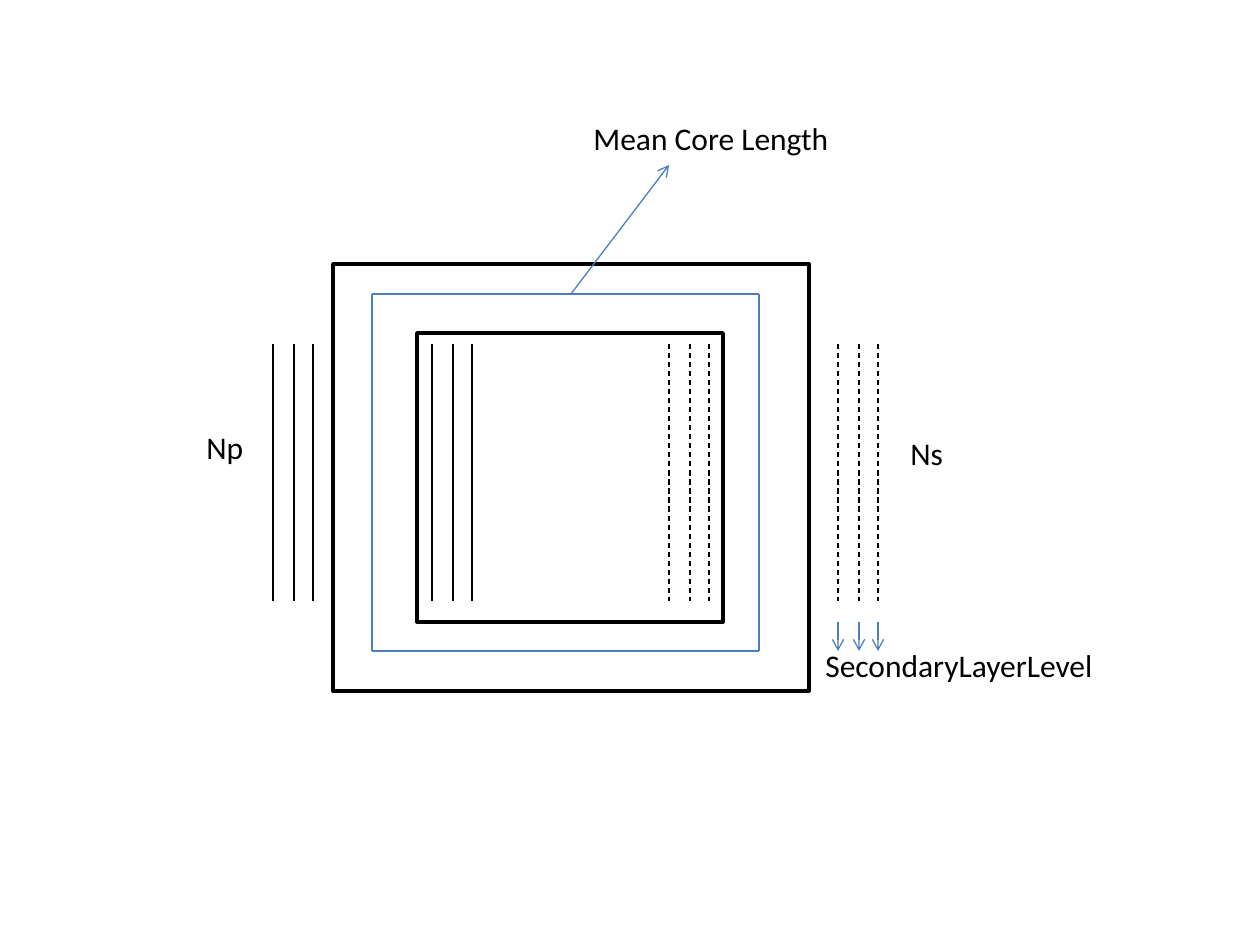
from itertools import pairwise

from lxml.etree import SubElement
from pptx import Presentation
from pptx.dml.color import RGBColor
from pptx.enum.dml import MSO_LINE
from pptx.enum.shapes import MSO_CONNECTOR, MSO_SHAPE
from pptx.enum.text import MSO_AUTO_SIZE
from pptx.oxml.ns import qn
from pptx.util import Emu, Pt

BLACK = RGBColor(0x00, 0x00, 0x00)
BLUE = RGBColor(0x4B, 0x7E, 0xBC)
EMU_PER_PX = 914400 / 126
TURN_OFFSETS = (0, 21, 40)


def px(length):
    """Turn pixels into EMU."""
    return Emu(round(length * EMU_PER_PX))


def add_text(page, text, box, size=18, color=BLACK, font="Calibri"):
    """Write one label in a box."""
    frame = page.shapes.add_textbox(*map(px, box)).text_frame
    frame.word_wrap = True
    frame.auto_size = MSO_AUTO_SIZE.SHAPE_TO_FIT_TEXT
    span = frame.paragraphs[0].add_run()
    span.text = text
    span.font.size = Pt(size)
    span.font.name = font
    span.font.color.rgb = color


def add_line(page, start, end, color=BLACK, dashed=False, arrow=False):
    """Draw a thin straight line, dashed or with an arrowhead if asked."""
    connector = page.shapes.add_connector(
        MSO_CONNECTOR.STRAIGHT, *map(px, (*start, *end)))
    connector.line.color.rgb = color
    connector.line.width = Pt(0.75)
    if dashed:
        connector.line.dash_style = MSO_LINE.DASH
    if arrow:
        SubElement(connector.line._get_or_add_ln(), qn("a:tailEnd"), type="arrow")
    SubElement(connector._element.spPr, qn("a:effectLst"))


def add_outline(page, box):
    """Draw an unfilled rectangle of the core."""
    outline = page.shapes.add_shape(MSO_SHAPE.RECTANGLE, *map(px, box))
    outline.shadow.inherit = False
    outline.fill.background()
    outline.line.color.rgb = BLACK
    outline.line.width = Pt(2)


def add_core(page, left, top):
    """Draw the outer edge and the window of the core."""
    add_outline(page, (left, top, 476, 427))
    add_outline(page, (left + 84, top + 69, 306, 289))


def add_turns(page, left, top, height, **line_format):
    """Draw the three turns on one side of a winding."""
    for offset in TURN_OFFSETS:
        x = left + offset
        add_line(page, (x, top), (x, top + height), **line_format)


def add_mean_path(page, left, top, width, height):
    """Draw the mean core path and the arrow to its label."""
    right, bottom = left + width, top + height
    corners = [(left, top), (right, top), (right, bottom), (left, bottom), (left, top)]
    for start, end in pairwise(corners):
        add_line(page, start, end, color=BLUE)
    add_line(page, (left + 199, top), (left + 297, top - 129), color=BLUE, arrow=True)
    add_text(page, "Mean Core Length", (left + 209, top - 181, 297, 50))


def add_primary(page, left, top, height):
    """Draw the primary winding with its label."""
    for side in (left, left + 159):
        add_turns(page, side, top, height)
    add_text(page, "Np", (left - 79, top + 78, 79, 50))


def add_secondary(page, left, top, height):
    """Draw the secondary winding with its labels and layer arrows."""
    outside = left + 169
    for side in (left, outside):
        add_turns(page, side, top, height, dashed=True)
    add_turns(page, outside, top + height + 21, 29, color=BLUE, arrow=True)
    add_text(page, "Ns", (outside + 60, top + 84, 79, 50))
    add_text(page, "SecondaryLayerLevel", (outside - 25, top + height + 39, 427, 50))


def main():
    """Build the transformer core slide."""
    deck = Presentation()
    deck.slide_width, deck.slide_height = px(1260), px(945)
    page = deck.slides.add_slide(deck.slide_layouts[6])
    add_core(page, 333, 264)
    add_primary(page, 273, 344, 257)
    add_secondary(page, 669, 344, 257)
    add_mean_path(page, 372, 294, 387, 357)
    deck.save("out.pptx")


if __name__ == "__main__":
    main()
